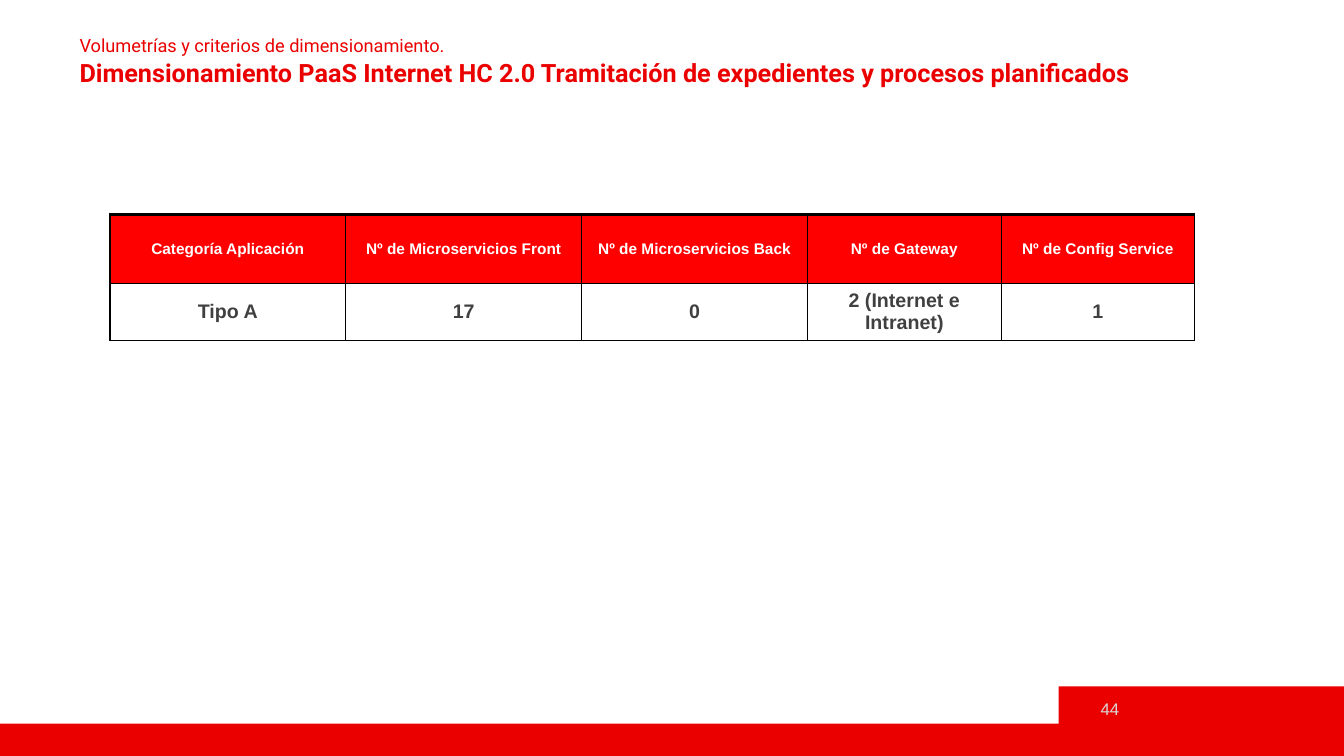
from dataclasses import dataclass

from lxml import etree
from pptx import Presentation
from pptx import util as u
from pptx.dml.color import RGBColor
from pptx.enum import shapes, text
from pptx.oxml import ns


@dataclass(frozen=True)
class Theme:
    brand: str = "EB0000"
    header_fill: str = "FF0000"
    header_text: str = "FFFFFF"
    body_fill: str = "FFFFFF"
    body_text: str = "404040"
    border: str = "000000"
    number: str = "D9D9D9"
    title_font: str = "Roboto"
    body_font: str = "Arial"
    section_size: float = 13
    title_size: float = 18
    header_size: float = 11
    body_size: float = 14
    number_size: float = 12
    border_width: float = 1
    top_border_width: float = 2.25


class SlideBuilder:
    def __init__(self, page, theme):
        self.page = page
        self.theme = theme

    def bar(self, left, top, width, height):
        bar = self.page.shapes.add_shape(
            shapes.MSO_SHAPE.RECTANGLE, *map(u.Inches, (left, top, width, height)))
        bar.shadow.inherit = False
        bar.fill.solid()
        bar.fill.fore_color.rgb = RGBColor.from_string(self.theme.brand)
        bar.line.fill.background()

    def text_box(self, left, top, width, height, anchor=text.MSO_ANCHOR.TOP):
        box = self.page.shapes.add_textbox(*map(u.Inches, (left, top, width, height)))
        frame = box.text_frame
        frame.word_wrap = True
        frame.vertical_anchor = anchor
        return frame

    def add_span(self, para, words, font, size, color, bold=False):
        span = para.add_run()
        span.text = words
        span.font.name = font
        span.font.size = u.Pt(size)
        span.font.bold = bold
        span.font.color.rgb = RGBColor.from_string(color)

    def heading(self, section, title):
        theme = self.theme
        frame = self.text_box(0.69, 0.32, 11.85, 0.6)
        section_para, title_para = frame.paragraphs[0], frame.add_paragraph()
        section_para.line_spacing = title_para.line_spacing = 0.9
        title_para.space_before = u.Pt(3)
        self.add_span(section_para, section, theme.title_font, theme.section_size, theme.brand)
        self.add_span(title_para, title, theme.title_font, theme.title_size, theme.brand, True)

    def page_number(self, number):
        para = self.text_box(10.5, 6.83, 0.7, 0.4, text.MSO_ANCHOR.MIDDLE).paragraphs[0]
        para.alignment = text.PP_ALIGN.RIGHT
        self.add_span(para, number, self.theme.body_font, self.theme.number_size,
                      self.theme.number)

    def cell_borders(self, cell, top_width):
        properties = cell._tc.get_or_add_tcPr()
        for side in ("lnL", "lnR", "lnT", "lnB"):
            width = top_width if side == "lnT" else self.theme.border_width
            line = etree.SubElement(properties, ns.qn(f"a:{side}"), w=str(u.Pt(width)))
            fill = etree.SubElement(line, ns.qn("a:solidFill"))
            etree.SubElement(fill, ns.qn("a:srgbClr"), val=self.theme.border)

    def table(self, left, top, widths, heights, rows):
        """Draw a table whose first row is the header."""
        theme = self.theme
        frame = self.page.shapes.add_table(
            len(rows), len(widths),
            *map(u.Inches, (left, top, sum(widths), sum(heights))))
        table = frame.table
        table.horz_banding = False
        for column, width in zip(table.columns, widths):
            column.width = u.Inches(width)
        for index, (row, height, labels) in enumerate(zip(table.rows, heights, rows)):
            row.height = u.Inches(height)
            if index == 0:
                fill, color = theme.header_fill, theme.header_text
                size, top_width = theme.header_size, theme.top_border_width
            else:
                fill, color = theme.body_fill, theme.body_text
                size, top_width = theme.body_size, theme.border_width
            for cell, label in zip(row.cells, labels):
                self.cell_borders(cell, top_width)
                cell.fill.solid()
                cell.fill.fore_color.rgb = RGBColor.from_string(fill)
                cell.vertical_anchor = text.MSO_ANCHOR.MIDDLE
                cell.margin_left = cell.margin_right = u.Inches(0.09)
                cell.margin_top = cell.margin_bottom = u.Inches(0.05)
                para = cell.text_frame.paragraphs[0]
                para.alignment = text.PP_ALIGN.CENTER
                self.add_span(para, label, theme.body_font, size, color, True)


def main():
    deck = Presentation()
    deck.slide_width, deck.slide_height = u.Inches(13.33), u.Inches(7.5)
    page = deck.slides.add_slide(deck.slide_layouts[6])
    builder = SlideBuilder(page, Theme())

    builder.bar(0, 7.18, 13.33, 0.32)
    builder.bar(10.5, 6.81, 2.83, 0.39)
    builder.page_number("44")
    builder.table(
        1.09, 2.13, widths=(2.34, 2.34, 2.24, 1.92, 1.92), heights=(0.68, 0.53),
        rows=(
            ("Categoría Aplicación", "Nº de Microservicios Front",
             "Nº de Microservicios Back", "Nº de Gateway", "Nº de Config Service"),
            ("Tipo A", "17", "0", "2 (Internet e Intranet)", "1"),
        ))
    builder.heading(
        "Volumetrías y criterios de dimensionamiento.",
        "Dimensionamiento PaaS Internet HC 2.0 Tramitación de expedientes "
        "y procesos planificados")

    deck.save("out.pptx")


if __name__ == "__main__":
    main()
